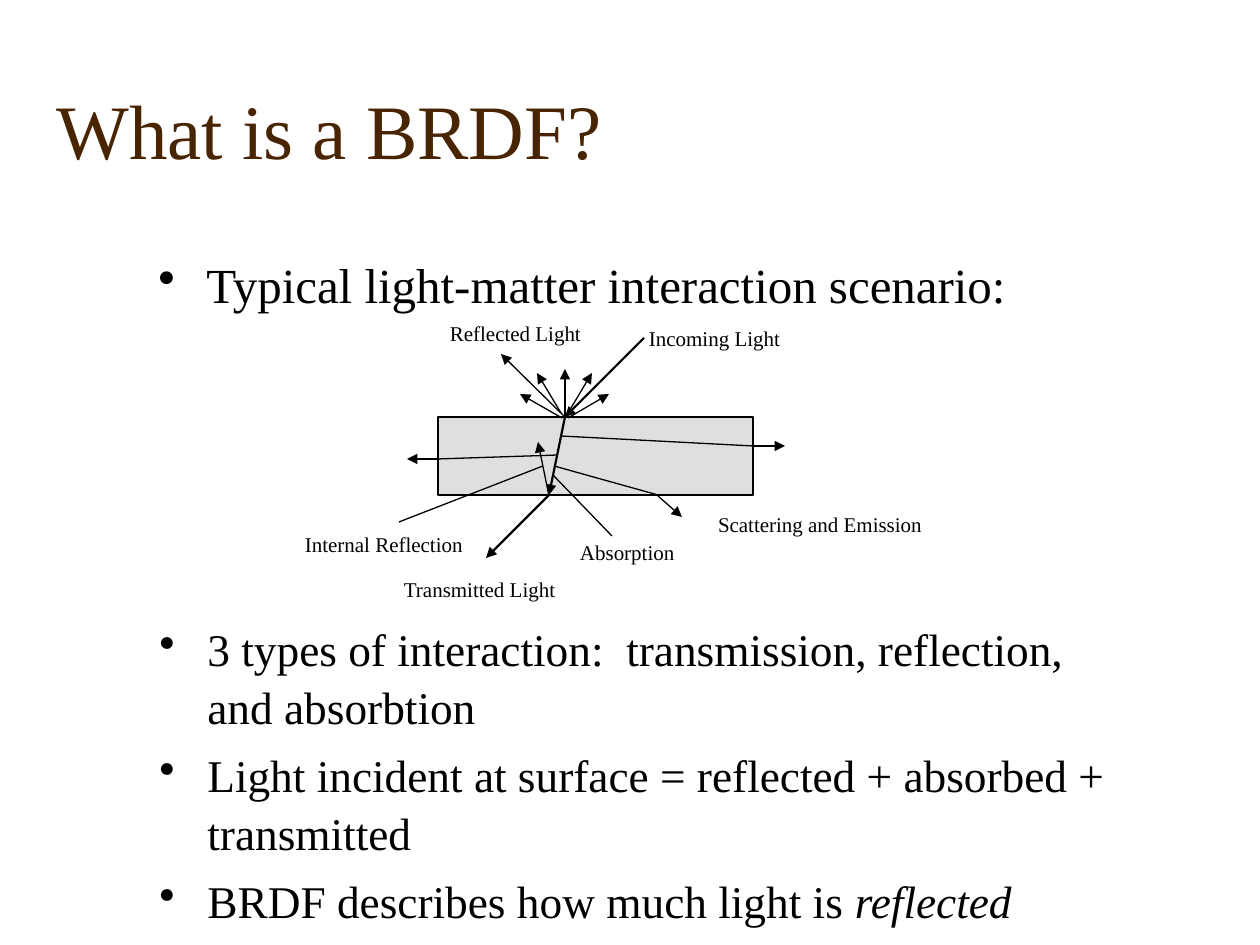
"""Build the slide that introduces the BRDF with a light-matter diagram."""
from lxml.etree import SubElement
from pptx import Presentation
from pptx.dml.color import RGBColor
from pptx.enum.shapes import MSO_CONNECTOR, MSO_SHAPE
from pptx.enum.text import MSO_ANCHOR
from pptx.oxml.ns import qn
from pptx.util import Pt

SCALE = 914400 / 126
FONT = "Times New Roman"
HUES = {"title": "482400", "ink": "000000", "slab": "C0C0C0", "paper": "FFFFFF"}

TITLE = "What is a BRDF?"
INTRO = [[("Typical light-matter interaction scenario:", False)]]
POINTS = [
    [("3 types of interaction:  transmission, reflection,\vand absorbtion", False)],
    [("Light incident at surface = reflected + absorbed + transmitted", False)],
    [("BRDF describes how much light is ", False), ("reflected", True)],
]
SLAB = (438, 417, 315, 78)
LABELS = [
    ("Incoming Light", 649, 320, 154),
    ("Transmitted Light", 404, 571, 154),
    ("Reflected Light", 450, 315, 154),
    ("Scattering and Emission", 718, 506, 207),
    ("Internal Reflection", 305, 526, 161),
    ("Absorption", 580, 534, 105),
]
HIT, EXIT = (565, 417), (549, 495)
BEAMS = [((644, 338), HIT), (HIT, EXIT), (EXIT, (486, 558))]
RAYS = [
    (HIT, (501, 354)),
    ((438, 459), (407, 459)),
    ((568, 418), (609, 394)),
    ((658, 496), (682, 517)),
    ((753, 446), (785, 446)),
    ((568, 413), (592, 373)),
    (HIT, (565, 369)),
    ((561, 413), (537, 373)),
    ((562, 418), (520, 394)),
    ((549, 496), (538, 442)),
]
PATHS = [
    ((561, 436), (753, 446)),
    ((558, 455), (438, 459)),
    ((554, 466), (658, 495)),
    ((543, 466), (399, 522)),
    ((553, 475), (612, 536)),
]


def px(*nums):
    return [round(n * SCALE) for n in nums]


def hue(name):
    return RGBColor.from_string(HUES[name])


def write(para, text, size, tone="ink", slant=False):
    for i, part in enumerate(text.split("\v")):
        if i:
            para.add_line_break()
        run = para.add_run()
        run.text = part
        run.font.name, run.font.size = FONT, Pt(size)
        run.font.color.rgb = hue(tone)
        if slant:
            run.font.italic = True


def add_text(slide, box):
    frame = slide.shapes.add_textbox(*px(*box)).text_frame
    frame.word_wrap = True
    return frame


def add_list(slide, box, items, size, lead):
    frame = add_text(slide, box)
    for i, runs in enumerate(items):
        para = frame.add_paragraph() if i else frame.paragraphs[0]
        para.line_spacing = lead
        para.space_before = Pt(6 if i else 0)
        props = para._p.get_or_add_pPr()
        indent = px(48)[0]
        props.set("marL", str(indent))
        props.set("indent", str(-indent))
        SubElement(props, qn("a:buChar"), char="•")
        for text, slant in runs:
            write(para, text, size, slant=slant)


def add_rect(slide, box, tone):
    rect = slide.shapes.add_shape(MSO_SHAPE.RECTANGLE, *px(*box))
    rect.shadow.inherit = False
    rect.fill.solid()
    rect.fill.fore_color.rgb = hue(tone)
    return rect


def add_slab(slide):
    slab = add_rect(slide, SLAB, "slab")
    slab.line.color.rgb = hue("ink")
    slab.line.width = Pt(0.75)
    color = slab._element.spPr.find(qn("a:solidFill"))[0]
    SubElement(color, qn("a:alpha"), val="50000")


def add_label(slide, text, left, top, width):
    rect = add_rect(slide, (left, top, width, 36), "paper")
    rect.line.fill.background()
    frame = rect.text_frame
    frame.margin_left = frame.margin_right = 0
    frame.margin_top = frame.margin_bottom = Pt(3.6)
    frame.vertical_anchor = MSO_ANCHOR.MIDDLE
    frame.word_wrap = False
    para = frame.paragraphs[0]
    para._p.get_or_add_pPr().set("algn", "l")
    write(para, text, 12)


def add_line(slide, start, end, width, arrow):
    line = slide.shapes.add_connector(MSO_CONNECTOR.STRAIGHT, *px(*start, *end))
    line.line.color.rgb = hue("ink")
    line.line.width = Pt(width)
    if arrow:
        SubElement(line.line._get_or_add_ln(), qn("a:tailEnd"), type="triangle")
    SubElement(line._element.spPr, qn("a:effectLst"))


def main():
    deck = Presentation()
    deck.slide_width, deck.slide_height = px(1260, 945)
    slide = deck.slides.add_slide(deck.slide_layouts[6])

    head = add_text(slide, (44, 76, 1191, 105))
    head.vertical_anchor = MSO_ANCHOR.BOTTOM
    write(head.paragraphs[0], TITLE, 44, "title")
    add_list(slide, (146, 248, 1071, 72), INTRO, 28, 1.0)

    add_slab(slide)
    for label in LABELS:
        add_label(slide, *label)
    for group, width, arrow in ((BEAMS, 1.25, True), (RAYS, 0.75, True), (PATHS, 0.75, False)):
        for start, end in group:
            add_line(slide, start, end, width, arrow)

    add_list(slide, (147, 612, 1071, 315), POINTS, 25.9, 1.06)
    deck.save("out.pptx")


if __name__ == "__main__":
    main()
